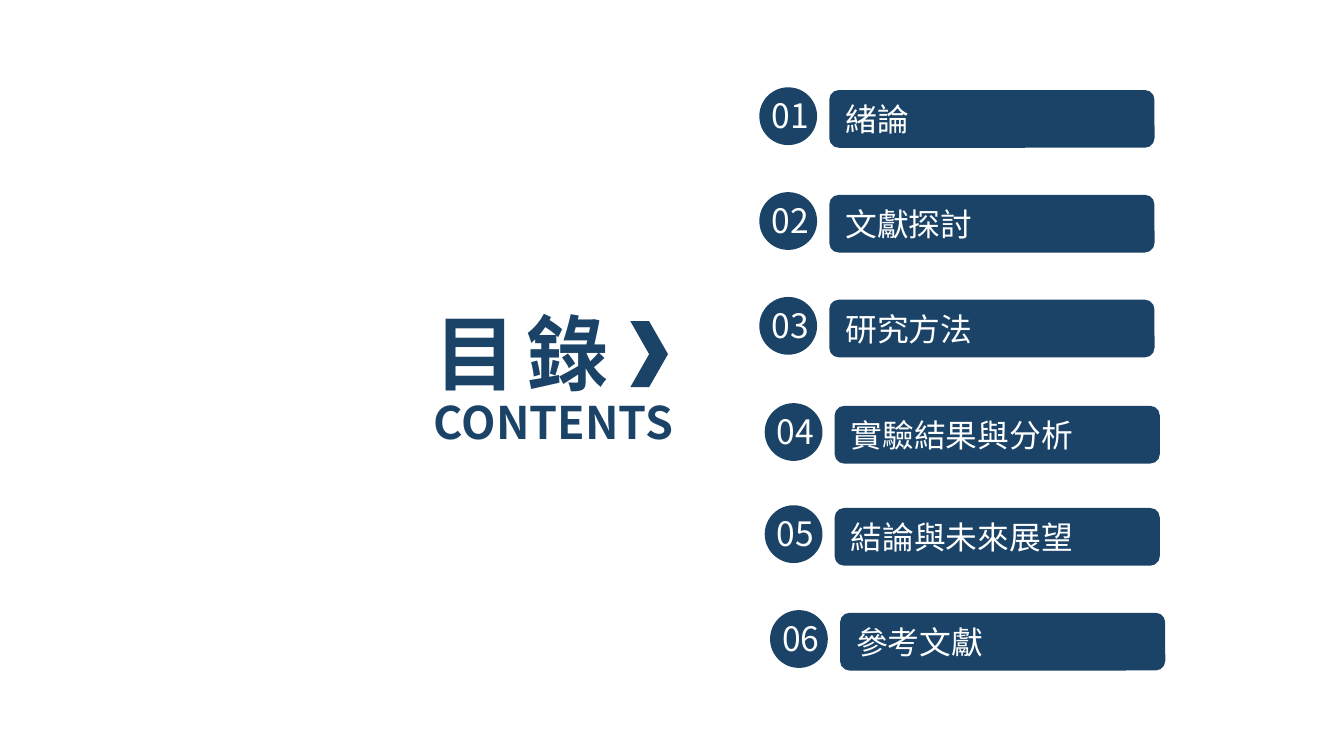
import pptx
import pptx.util
import pptx.dml.color
import pptx.enum.shapes
import pptx.enum.text
from lxml import etree
from pptx.util import Inches

NAVY = "1B4367"
WHITE = "FFFFFF"
FONT = "Noto Sans CJK SC"
SHAPE = pptx.enum.shapes.MSO_SHAPE
ALIGN = pptx.enum.text.PP_ALIGN
ANCHOR = pptx.enum.text.MSO_ANCHOR


def color(hex_value):
    return pptx.dml.color.RGBColor.from_string(hex_value)


def write(frame, text, size=17, ink=WHITE, bold=False, align=ALIGN.LEFT,
          anchor=ANCHOR.TOP, spacing=None):
    frame.word_wrap = True
    frame.auto_size = pptx.enum.text.MSO_AUTO_SIZE.SHAPE_TO_FIT_TEXT
    frame.vertical_anchor = anchor
    paragraph = frame.paragraphs[0]
    paragraph.alignment = align
    run = paragraph.add_run()
    run.text = text
    run.font.size = pptx.util.Pt(size)
    run.font.bold = bold
    run.font.name = FONT
    run.font.color.rgb = color(ink)
    properties = run.font._element
    etree.SubElement(properties, pptx.oxml.ns.qn("a:ea")).set("typeface", FONT)
    if spacing is not None:
        properties.set("spc", str(round(spacing * 100)))


class ContentsSlide:
    def __init__(self, deck):
        self.fill = NAVY
        self.slide = deck.slides.add_slide(deck.slide_layouts[5])
        self.slide.background.fill.solid()
        self.slide.background.fill.fore_color.rgb = color(WHITE)

    def title(self, text, left, top, width, height, **style):
        heading = self.slide.shapes.title
        heading.left, heading.top = Inches(left), Inches(top)
        heading.width, heading.height = Inches(width), Inches(height)
        write(heading.text_frame, text, **style)

    def label(self, text, left, top, width, height, parent=None, **style):
        shapes = (parent or self.slide).shapes
        box = shapes.add_textbox(Inches(left), Inches(top), Inches(width), Inches(height))
        write(box.text_frame, text, **style)

    def block(self, kind, left, top, width, height, parent=None):
        shapes = (parent or self.slide).shapes
        block = shapes.add_shape(kind, Inches(left), Inches(top), Inches(width), Inches(height))
        block.shadow.inherit = False
        block.fill.solid()
        block.fill.fore_color.rgb = color(self.fill)
        block.line.fill.background()
        return block

    def chapter(self, number, name, left, top):
        bar = self.block(SHAPE.ROUNDED_RECTANGLE, left, top, 2.42, 0.43)
        write(bar.text_frame, name, anchor=ANCHOR.MIDDLE)
        badge = self.slide.shapes.add_group_shape()
        self.block(SHAPE.OVAL, left - 0.52, top - 0.02, 0.43, 0.43, parent=badge)
        self.label(f"{number:02d}", left - 0.55, top - 0.01, 0.52, 0.4, parent=badge,
                   size=18, align=ALIGN.CENTER)


def main():
    deck = pptx.Presentation()
    deck.slide_width = Inches(10)
    deck.slide_height = deck.slide_width * 9 // 16
    contents = ContentsSlide(deck)
    contents.title("目 錄", 3.13, 2.2, 2.35, 0.84,
                   size=44, ink=NAVY, bold=True, spacing=-2.2)
    contents.label("CONTENTS", 3.13, 2.89, 2.31, 0.5, size=24, ink=NAVY, bold=True)
    contents.block(SHAPE.CHEVRON, 4.69, 2.39, 0.28, 0.49)

    chapters = [
        ("緒論", 6.17, 0.67),
        ("文獻探討", 6.17, 1.45),
        ("研究方法", 6.17, 2.23),
        ("實驗結果與分析", 6.21, 3.02),
        ("結論與未來展望", 6.21, 3.78),
        ("參考文獻", 6.25, 4.56),
    ]
    for number, (name, left, top) in enumerate(chapters, start=1):
        contents.chapter(number, name, left, top)

    deck.save("out.pptx")


if __name__ == "__main__":
    main()
